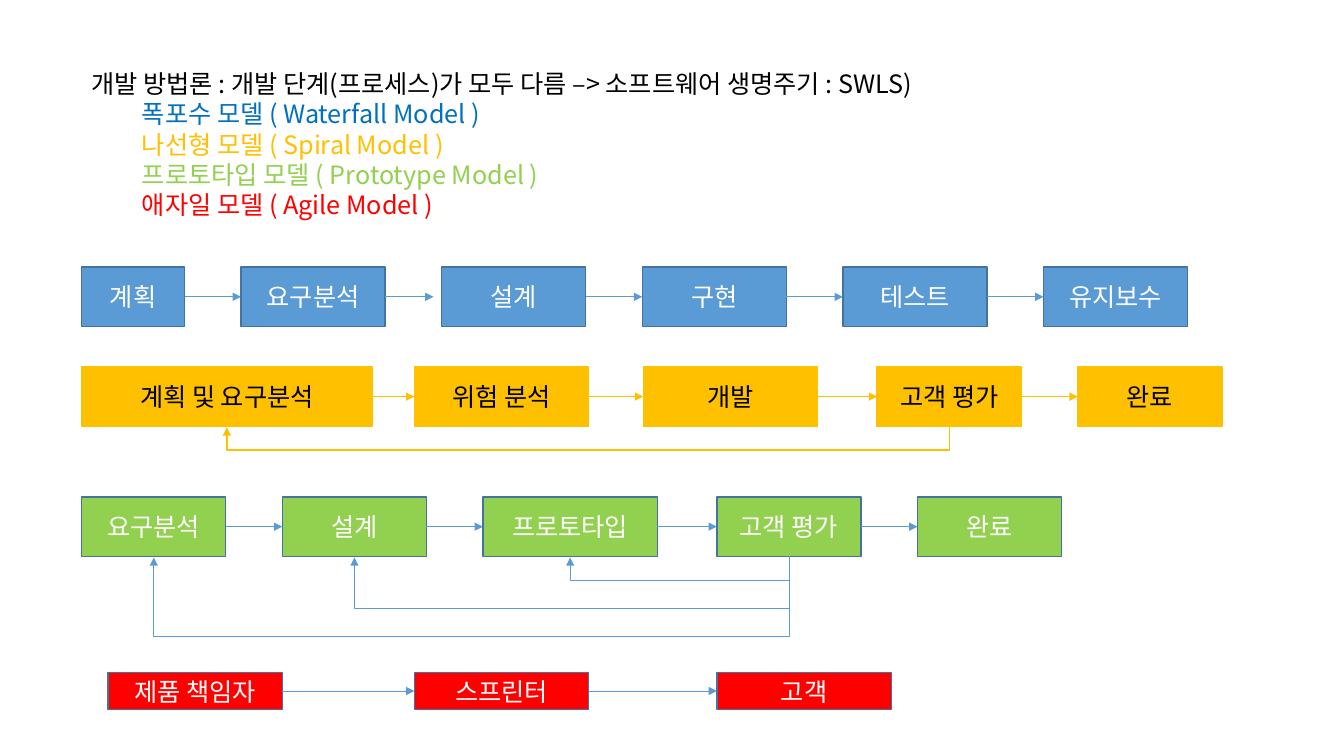
import pptx
import pptx.util
import pptx.dml.color
import pptx.enum.shapes
import pptx.enum.text
import pptx.oxml
import pptx.oxml.ns

FONT = "Noto Sans CJK KR"
COLORS = {"black": "000000", "white": "FFFFFF", "navy": "0070C0", "blue": "5B9BD5",
          "edge": "43739E", "gold": "FFC000", "green": "92D050", "red": "FF0000"}

HEADING = [
    ("개발 방법론 : 개발 단계(프로세스)가 모두 다름 –> 소프트웨어 생명주기 : SWLS)", "black"),
    ("\t폭포수 모델 ( Waterfall Model )", "navy"),
    ("\t나선형 모델 ( Spiral Model )", "gold"),
    ("\t프로토타입 모델 ( Prototype Model ) ", "green"),
    ("\t애자일 모델 ( Agile Model )", "red"),
]

LEFT, GAP, WIDE_GAP = 0.81, 0.56, 0.59
BOX, WIDE_BOX, BOX_H = 1.43, 1.73, 0.59

# Each step: text, space before it, width. Each loop: from step, to step, drop.
# "short" holds the space left before the box that an arrow stops ahead of.
MODELS = [
    {"top": 2.65, "height": BOX_H, "fill": "blue", "edge": "edge", "font": "white",
     "arrow": ("blue", 0.5), "loops": [], "short": {2: 0.08},
     "steps": [("계획", LEFT, 1.02), ("요구분석", GAP, BOX), ("설계", GAP, BOX),
               ("구현", GAP, BOX), ("테스트", GAP, BOX), ("유지보수", GAP, BOX)]},
    {"top": 3.64, "height": BOX_H, "fill": "gold", "edge": "gold", "font": "black",
     "arrow": ("gold", 1), "loops": [(3, 0, 0.24)], "short": {},
     "steps": [("계획 및 요구분석", LEFT, 2.88), ("위험 분석", 0.42, WIDE_BOX),
               ("개발", 0.54, WIDE_BOX), ("고객 평가", WIDE_GAP, BOX), ("완료", GAP, BOX)]},
    {"top": 4.93, "height": BOX_H, "fill": "green", "edge": "edge", "font": "white",
     "arrow": ("blue", 0.5), "loops": [(3, 2, 0.24), (3, 1, 0.52), (3, 0, 0.81)], "short": {},
     "steps": [("요구분석", LEFT, BOX), ("설계", GAP, BOX), ("프로토타입", GAP, WIDE_BOX),
               ("고객 평가", WIDE_GAP, BOX), ("완료", GAP, BOX)]},
    {"top": 6.67, "height": 0.37, "fill": "red", "edge": "edge", "font": "white",
     "arrow": ("blue", 0.5), "loops": [], "short": {},
     "steps": [("제품 책임자", 1.07, WIDE_BOX), ("스프린터", 1.31, WIDE_BOX),
               ("고객", 1.27, WIDE_BOX)]},
]

inch = pptx.util.Inches
qn = pptx.oxml.ns.qn
CONNECTOR = pptx.enum.shapes.MSO_CONNECTOR


def rgb(name):
    """Return the named colour."""
    return pptx.dml.color.RGBColor.from_string(COLORS[name])


def write(p, text, color):
    """Fill a paragraph with one formatted run."""
    p.text = text
    font = p.runs[0].font
    font.name, font.size, font.color.rgb = FONT, pptx.util.Pt(18), rgb(color)
    ea = pptx.oxml.parse_xml(f'<a:ea {pptx.oxml.ns.nsdecls("a")} typeface="{FONT}"/>')
    font._element.find(qn("a:latin")).addnext(ea)


def add_box(s, text, x, w, model):
    """Draw one step of a model."""
    sp = s.shapes.add_shape(pptx.enum.shapes.MSO_SHAPE.RECTANGLE, inch(x),
                            inch(model["top"]), inch(w), inch(model["height"]))
    sp.shadow.inherit = False
    sp.fill.solid()
    sp.fill.fore_color.rgb = rgb(model["fill"])
    sp.line.color.rgb = rgb(model["edge"])
    sp.line.width = pptx.util.Pt(1)
    tf = sp.text_frame
    tf.vertical_anchor = pptx.enum.text.MSO_ANCHOR.MIDDLE
    p = tf.paragraphs[0]
    p.alignment = pptx.enum.text.PP_ALIGN.CENTER
    write(p, text, model["font"])


def add_arrow(s, kind, x1, y1, x2, y2, style):
    """Draw a connector with a triangle at its end."""
    c = s.shapes.add_connector(kind, inch(x1), inch(y1), inch(x2), inch(y2))
    color, width = style
    c.line.color.rgb = rgb(color)
    c.line.width = pptx.util.Pt(width)
    ns = pptx.oxml.ns.nsdecls("a")
    c.line._get_or_add_ln().append(pptx.oxml.parse_xml(f'<a:tailEnd {ns} type="triangle"/>'))
    c._element.spPr.append(pptx.oxml.parse_xml(f"<a:effectLst {ns}/>"))
    return c


def add_loop(s, x1, x2, y, drop, style):
    """Draw a feedback arrow that runs below the boxes from x1 back to x2."""
    thin, span, mid = 0.01, x1 - x2, (x1 + x2) / 2
    left, top = mid - thin / 2, y + thin / 2 - span / 2
    c = add_arrow(s, CONNECTOR.ELBOW, left, top, left + thin, top + span, style)
    spPr = c._element.spPr
    spPr.find(qn("a:xfrm")).set("rot", str(90 * 60000))
    guides = spPr.find(qn("a:prstGeom")).get_or_add_avLst()
    guide = pptx.oxml.parse_xml(
        f'<a:gd {pptx.oxml.ns.nsdecls("a")} name="adj1" fmla="val {round(drop / thin * 100000)}"/>')
    guides.append(guide)


def add_model(s, model):
    """Draw a row of steps with the arrows between them."""
    x, centers = 0, []
    middle = model["top"] + model["height"] / 2
    for i, (text, gap, w) in enumerate(model["steps"]):
        if i:
            add_arrow(s, CONNECTOR.STRAIGHT, x, middle,
                      x + gap - model["short"].get(i, 0), middle, model["arrow"])
        x += gap
        add_box(s, text, x, w, model)
        centers.append(x + w / 2)
        x += w
    for start, end, drop in model["loops"]:
        add_loop(s, centers[start], centers[end], model["top"] + model["height"],
                 drop, model["arrow"])


prs = pptx.Presentation()
prs.slide_width, prs.slide_height = inch(13.33), inch(7.5)
s = prs.slides.add_slide(prs.slide_layouts[6])

tf = s.shapes.add_textbox(inch(LEFT), inch(0.63), inch(9.29), inch(1.62)).text_frame
tf.word_wrap = False
for i, (text, color) in enumerate(HEADING):
    write(tf.add_paragraph() if i else tf.paragraphs[0], text, color)

for model in MODELS:
    add_model(s, model)

prs.save("out.pptx")
